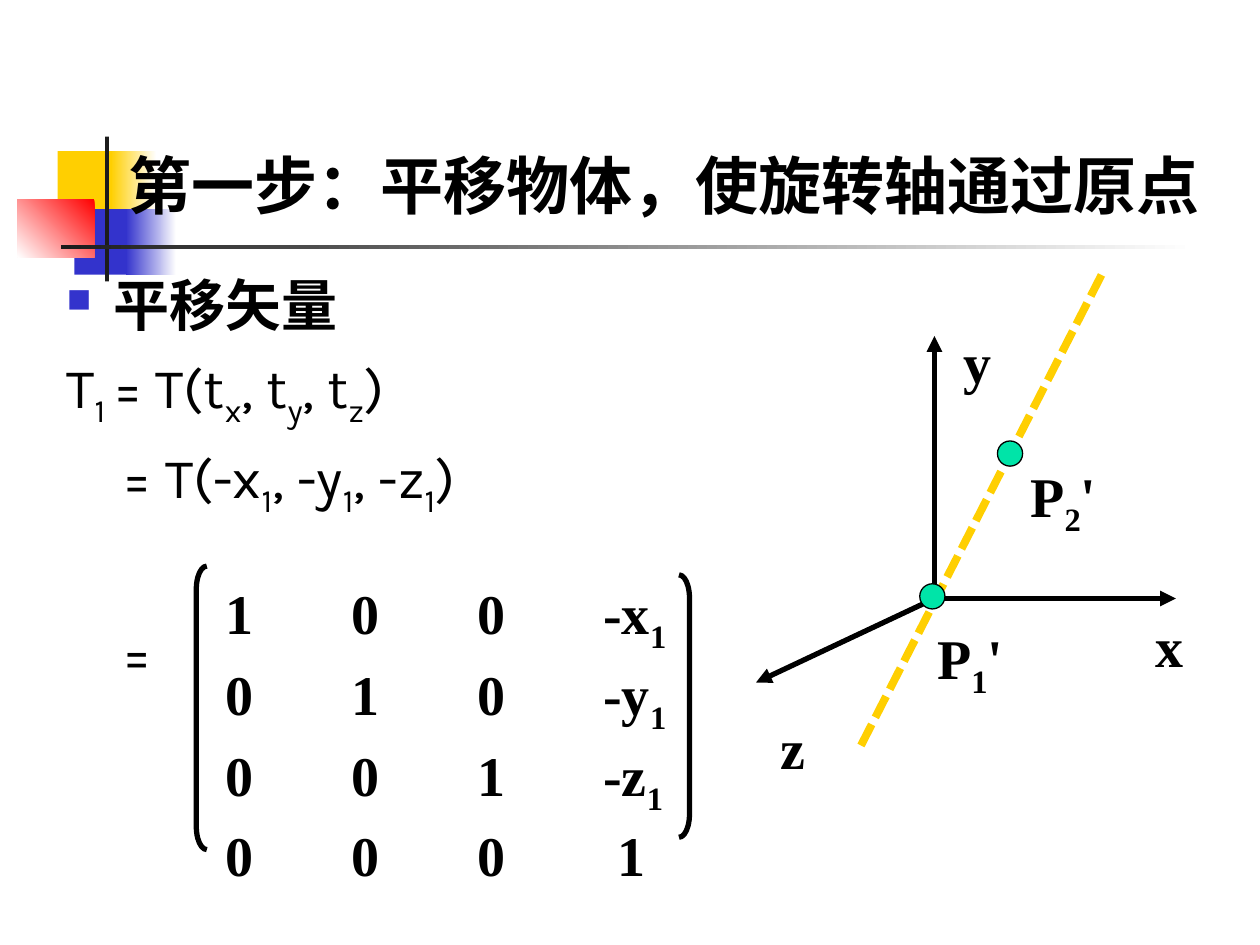
from pptx import Presentation
from pptx.dml.color import RGBColor
from pptx.enum.dml import MSO_LINE
from pptx.enum.shapes import MSO_CONNECTOR, MSO_SHAPE
from pptx.enum.text import MSO_ANCHOR, MSO_AUTO_SIZE, PP_ALIGN
from pptx.oxml.ns import qn
from pptx.util import Pt
from lxml.etree import SubElement

BLACK = RGBColor(0x00, 0x00, 0x00)
WHITE = RGBColor(0xFF, 0xFF, 0xFF)
CHARCOAL = RGBColor(0x1C, 0x1C, 0x1C)
YELLOW = RGBColor(0xFF, 0xCF, 0x01)
BLUE = RGBColor(0x33, 0x33, 0xCC)
RED = RGBColor(0xFF, 0x00, 0x00)
GREEN = RGBColor(0x00, 0xE4, 0xA8)
SANS = "Karla"
SERIF = "Times New Roman"


def add_block(slide, left, top, width, height, start, end=None, angle=180):
    """Rectangle with a plain fill, or a gradient from start to end."""
    shape = slide.shapes.add_shape(
        MSO_SHAPE.RECTANGLE, Pt(left), Pt(top), Pt(width), Pt(height))
    shape.shadow.inherit = False
    shape.line.fill.background()
    if end is None:
        shape.fill.solid()
        shape.fill.fore_color.rgb = start
        return
    shape.fill.gradient()
    shape.fill.gradient_angle = angle
    for stop, color in zip(shape.fill.gradient_stops, (start, end)):
        stop.color.rgb = color


def add_line(slide, start, end, color, width, arrow=False, dash=None):
    line = slide.shapes.add_connector(
        MSO_CONNECTOR.STRAIGHT, *(Pt(value) for value in (*start, *end)))
    line.line.color.rgb = color
    line.line.width = Pt(width)
    if dash:
        line.line.dash_style = dash
    if arrow:
        SubElement(line.line._get_or_add_ln(), qn("a:tailEnd"), type="triangle")
    SubElement(line._element.spPr, qn("a:effectLst"))


def add_dot(slide, left, top):
    dot = slide.shapes.add_shape(
        MSO_SHAPE.OVAL, Pt(left), Pt(top), Pt(14.4), Pt(14.4))
    dot.shadow.inherit = False
    dot.fill.solid()
    dot.fill.fore_color.rgb = GREEN
    dot.line.color.rgb = BLACK
    dot.line.width = Pt(0.75)


def add_bracket(slide, kind, left, top, height):
    bracket = slide.shapes.add_shape(kind, Pt(left), Pt(top), Pt(6), Pt(height))
    bracket.adjustments[0] = 2.2
    bracket.shadow.inherit = False
    bracket.fill.background()
    bracket.line.color.rgb = BLACK
    bracket.line.width = Pt(3)


def write(paragraph, marked, font, bold=True, size=32):
    """Every second piece between underscores is a subscript."""
    for index, piece in enumerate(marked.split("_")):
        if not piece:
            continue
        run = paragraph.add_run()
        run.text = piece
        run.font.name = font
        run.font.size = Pt(size)
        run.font.bold = bold
        run.font.color.rgb = BLACK
        if index % 2:
            run.font._element.set("baseline", "-25000")


def add_text_box(slide, left, top, width, height, lines, wrap=False,
                 font=SERIF, spacing=None):
    box = slide.shapes.add_textbox(Pt(left), Pt(top), Pt(width), Pt(height))
    frame = box.text_frame
    frame.word_wrap = wrap
    for index, line in enumerate(lines):
        paragraph = frame.add_paragraph() if index else frame.paragraphs[0]
        if spacing:
            paragraph.line_spacing = spacing
        write(paragraph, line, font)
    return frame


def set_bullet(paragraph):
    properties = paragraph._element.get_or_add_pPr()
    properties.set("marL", str(Pt(27)))
    properties.set("indent", str(Pt(-27)))
    color = SubElement(properties, qn("a:buClr"))
    SubElement(color, qn("a:srgbClr"), val=str(BLUE))
    SubElement(properties, qn("a:buSzPct"), val="60000")
    SubElement(properties, qn("a:buChar"), char="■")


def set_tabs(paragraph, step, count):
    tabs = SubElement(paragraph._element.get_or_add_pPr(), qn("a:tabLst"))
    for index in range(1, count + 1):
        SubElement(tabs, qn("a:tab"), pos=str(Pt(step * index)), algn="l")


def add_decoration(slide):
    add_block(slide, 33, 86.4, 37.5, 37.5, YELLOW)
    add_block(slide, 63.4, 86.4, 26, 37.5, WHITE, YELLOW)
    add_block(slide, 42.5, 119.5, 33, 37.5, BLUE)
    add_block(slide, 72, 119.5, 28.8, 37.5, WHITE, BLUE)
    add_block(slide, 10, 113.8, 44, 33.2, RED, WHITE, angle=225)
    add_block(slide, 60, 78, 2.3, 82.8, CHARCOAL)
    add_block(slide, 34.8, 140, 648, 2.5, WHITE, CHARCOAL)


def add_title(slide, text):
    title = slide.shapes.title
    title.left, title.top = Pt(66.2), Pt(65.5)
    title.width, title.height = Pt(653.8), Pt(64.8)
    frame = title.text_frame
    frame.auto_size = MSO_AUTO_SIZE.NONE
    frame.vertical_anchor = MSO_ANCHOR.BOTTOM
    frame.paragraphs[0].alignment = PP_ALIGN.LEFT
    write(frame.paragraphs[0], text, SANS, size=36)
    # Bring the title in front of the decoration
    title._element.getparent().append(title._element)


def add_body(slide):
    frame = add_text_box(slide, 31, 151.2, 416, 252.7, ["平移矢量"],
                         wrap=True, font=SANS)
    set_bullet(frame.paragraphs[0])
    formulas = [("T_1 _= T(t_x_, t_y_, t_z_)", 0, 8),
                ("= T(-x_1_, -y_1_, -z_1_)", 32, 8),
                ("=", 32, 57)]
    for text, indent, space in formulas:
        paragraph = frame.add_paragraph()
        paragraph._element.get_or_add_pPr().set("marL", str(Pt(indent)))
        paragraph.space_before = Pt(space)
        write(paragraph, text, SANS, bold=False)


def add_axes(slide):
    origin = (534, 342)
    for tip in ((534, 192), (672, 342), (432, 390)):
        add_line(slide, origin, tip, BLACK, 3, arrow=True)
    for name, left, top in (("x", 653, 345.6), ("z", 439.2, 404),
                            ("y", 543.6, 183.6)):
        add_text_box(slide, left, top, 30, 46, [name])
    # Rotation axis with its two points
    add_line(slide, (492, 426), (630, 156), YELLOW, 4.5,
             dash=MSO_LINE.SQUARE_DOT)
    add_dot(slide, 570, 252)
    add_dot(slide, 525.6, 333.6)
    add_text_box(slide, 528.5, 353, 52, 51, ["P_1_'"])
    add_text_box(slide, 581.8, 260.4, 52, 51, ["P_2_'"])


def add_matrix(slide):
    add_bracket(slide, MSO_SHAPE.LEFT_BRACKET, 112.2, 323.5, 162)
    add_bracket(slide, MSO_SHAPE.RIGHT_BRACKET, 388, 328.5, 150)
    rows = ["1\t0\t0\t-x_1", "0\t1\t0\t-y_1", "0\t0\t1\t-z_1", "0\t0\t0\t 1"]
    frame = add_text_box(slide, 121.7, 324.3, 266.4, 177, rows, spacing=1.06)
    for paragraph in frame.paragraphs:
        set_tabs(paragraph, 72, 3)


def main():
    presentation = Presentation()
    presentation.slide_width, presentation.slide_height = Pt(720), Pt(540)
    slide = presentation.slides.add_slide(presentation.slide_layouts[5])
    add_decoration(slide)
    add_title(slide, "第一步：平移物体，使旋转轴通过原点")
    add_body(slide)
    add_axes(slide)
    add_matrix(slide)
    presentation.save("out.pptx")


if __name__ == "__main__":
    main()
